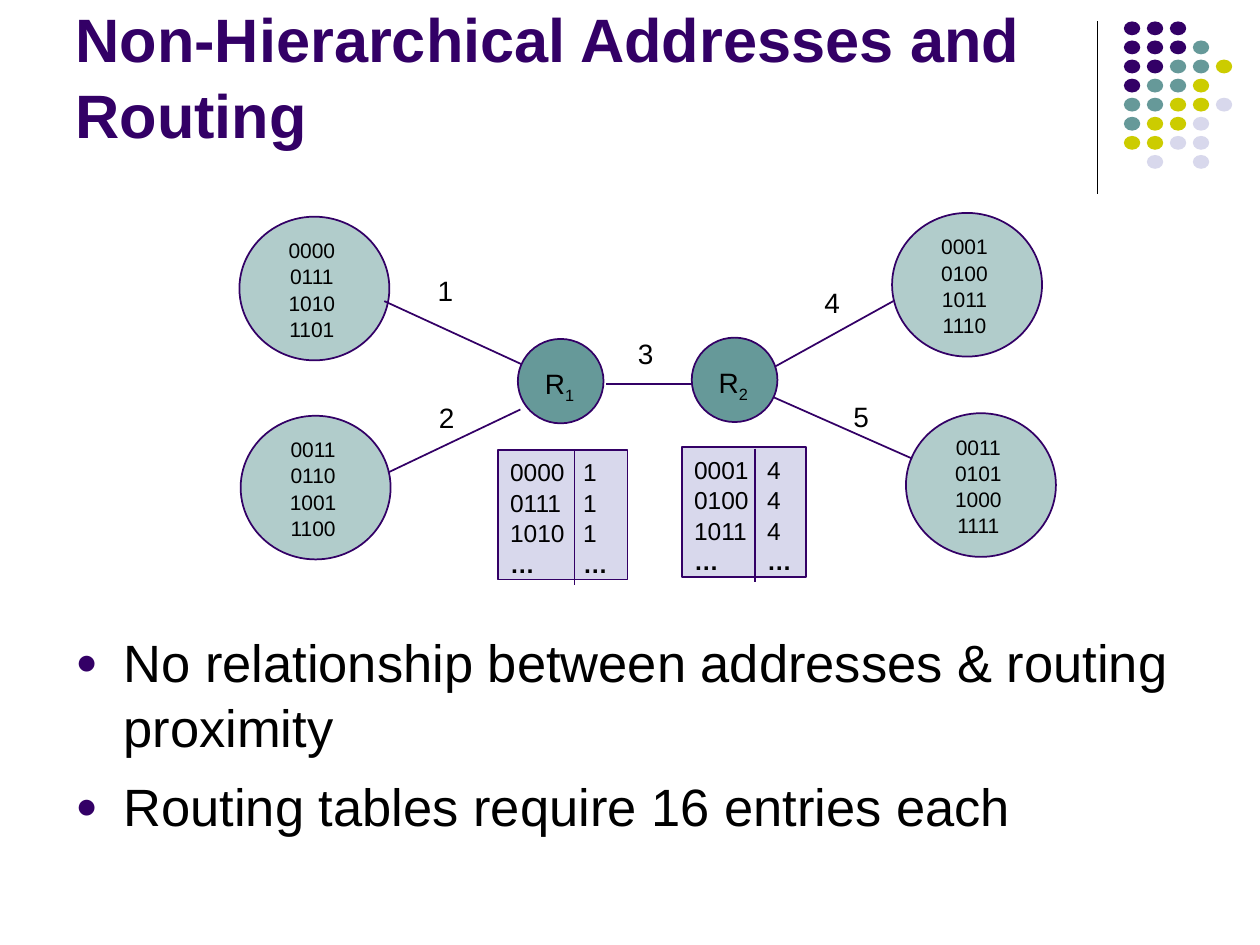
from dataclasses import dataclass

from lxml import etree
from pptx import Presentation
from pptx.dml.color import RGBColor
from pptx.enum.shapes import MSO_CONNECTOR, MSO_SHAPE
from pptx.enum.text import MSO_ANCHOR, MSO_AUTO_SIZE, PP_ALIGN
from pptx.oxml.ns import qn
from pptx.util import Inches, Pt

LEFT, CENTER = PP_ALIGN.LEFT, PP_ALIGN.CENTER
TOP, BOTTOM = MSO_ANCHOR.TOP, MSO_ANCHOR.BOTTOM
OVAL, RECT = MSO_SHAPE.OVAL, MSO_SHAPE.RECTANGLE
STRAIGHT = MSO_CONNECTOR.STRAIGHT
FIXED = MSO_AUTO_SIZE.NONE


@dataclass(frozen=True)
class Theme:
    font: str = "Arial"
    ink: str = "000000"
    dark: str = "330066"
    teal: str = "669999"
    pale: str = "B1CCCB"
    lime: str = "CCCC00"
    mist: str = "D8D8EC"
    title: float = 35
    body: float = 30
    label: float = 16
    entry: float = 14
    host: float = 12
    leading: float = 1.04


@dataclass(frozen=True)
class Net:
    x: float
    y: float
    hosts: str


@dataclass(frozen=True)
class Router:
    x: float
    y: float
    index: str


@dataclass(frozen=True)
class Link:
    start: tuple[float, float]
    end: tuple[float, float]
    port: str
    x: float
    y: float


@dataclass(frozen=True)
class Routes:
    x: float
    y: float
    width: float
    rule: float
    hosts: str
    port: str


THEME = Theme()
NETS = [
    Net(1.9, 1.72, "0000 0111 1010 1101"),
    Net(7.08, 1.69, "0001 0100 1011 1110"),
    Net(7.19, 3.28, "0011 0101 1000 1111"),
    Net(1.91, 3.3, "0011 0110 1001 1100"),
]
LINKS = [
    Link((3.05, 2.39), (4.16, 2.9), "1", 3.29, 2.11),
    Link((4.13, 3.25), (3.08, 3.75), "2", 3.3, 3.12),
    Link((4.81, 3.05), (5.51, 3.05), "3", 4.88, 2.61),
    Link((6.15, 2.91), (7.09, 2.39), "4", 6.36, 2.21),
    Link((6.11, 3.14), (7.24, 3.64), "5", 6.59, 3.11),
]
ROUTERS = [Router(4.11, 2.69, "1"), Router(5.49, 2.68, "2")]
TABLES = [
    Routes(3.95, 3.57, 1.03, 4.56, "0000 0111 1010", "1"),
    Routes(5.41, 3.55, 0.99, 5.99, "0001 0100 1011", "4"),
]
DOTS = ["DDD", "DDDT", "DDTTL", "DTTL", "TTLLM", "TLLM", "LLMM", " M M"]
HUES = {"D": THEME.dark, "T": THEME.teal, "L": THEME.lime, "M": THEME.mist}
POINTS = [
    "No relationship between addresses & routing proximity",
    "Routing tables require 16 entries each",
]


def paint(font, size: float, hue: str = THEME.ink, bold: bool = False) -> None:
    font.name, font.size, font.bold = THEME.font, Pt(size), bold
    font.color.rgb = RGBColor.from_string(hue)


def write(para, text: str, size: float, hue: str = THEME.ink, bold: bool = False):
    run = para.add_run()
    run.text = text
    paint(run.font, size, hue, bold)
    return run


def lines(frame, count: int, align=CENTER) -> list:
    """Set up a frame and return its paragraphs, ready for runs."""
    frame.word_wrap, frame.auto_size = True, FIXED
    paras = [frame.paragraphs[0]] + [frame.add_paragraph() for _ in range(count - 1)]
    for para in paras:
        para.alignment, para.line_spacing = align, THEME.leading
        para.space_before = para.space_after = Pt(0)
    return paras


def place(shape, x: float, y: float, width: float, height: float) -> None:
    shape.left, shape.top = Inches(x), Inches(y)
    shape.width, shape.height = Inches(width), Inches(height)


def add_box(slide, x: float, y: float, width: float, height: float, count: int = 1) -> list:
    box = slide.shapes.add_textbox(Inches(x), Inches(y), Inches(width), Inches(height))
    return lines(box.text_frame, count)


def add_form(slide, kind, x: float, y: float, width: float, height: float,
             fill: str, edge: str | None = THEME.dark):
    form = slide.shapes.add_shape(kind, Inches(x), Inches(y), Inches(width), Inches(height))
    form.shadow.inherit = False
    form.fill.solid()
    form.fill.fore_color.rgb = RGBColor.from_string(fill)
    if edge:
        form.line.color.rgb = RGBColor.from_string(edge)
        form.line.width = Pt(1)
    else:
        form.line.fill.background()
    return form


def add_line(slide, start: tuple[float, float], end: tuple[float, float],
             hue: str = THEME.dark, width: float = 1) -> None:
    line = slide.shapes.add_connector(STRAIGHT, *map(Inches, start + end))
    line.line.color.rgb = RGBColor.from_string(hue)
    line.line.width = Pt(width)
    etree.SubElement(line._element.spPr, qn("a:effectLst"))


def add_net(slide, net: Net) -> None:
    add_form(slide, OVAL, net.x, net.y, 1.19, 1.14, THEME.pale)
    hosts = net.hosts.split()
    paras = add_box(slide, net.x + 0.22, net.y + 0.11, 0.71, 0.9, len(hosts))
    for para, host in zip(paras, hosts):
        write(para, host, THEME.host)


def add_link(slide, link: Link) -> None:
    add_line(slide, link.start, link.end)
    write(add_box(slide, link.x, link.y, 0.49, 0.36)[0], link.port, THEME.label)


def add_router(slide, router: Router) -> None:
    add_form(slide, OVAL, router.x, router.y, 0.68, 0.67, THEME.teal)
    para = add_box(slide, router.x - 0.01, router.y + 0.16, 0.68, 0.4)[0]
    write(para, "R", THEME.label)
    write(para, router.index, THEME.label).font._element.set("baseline", "-25000")


def add_routes(slide, table: Routes) -> None:
    form = add_form(slide, RECT, table.x, table.y, table.width, 1.03, THEME.mist)
    form.text_frame.vertical_anchor = TOP
    rows = [(host, table.port) for host in table.hosts.split()] + [("…", "…")]
    for para, row in zip(lines(form.text_frame, len(rows), LEFT), rows):
        stops = etree.SubElement(para._p.get_or_add_pPr(), qn("a:tabLst"))
        etree.SubElement(stops, qn("a:tab"), pos=str(Inches(0.58)), algn="l")
        write(para, "\t".join(row), THEME.entry, bold=row[0] == "…")
    add_line(slide, (table.rule, table.y + 0.01), (table.rule, table.y + 1.07))


def add_dots(slide) -> None:
    for row, marks in enumerate(DOTS):
        for col, mark in enumerate(marks):
            if mark in HUES:
                add_form(slide, OVAL, 8.92 + 0.73 * col / 4, 0.17 + 1.06 * row / 7,
                         0.13, 0.11, HUES[mark], None)


def add_bullet(para) -> None:
    props = para._p.get_or_add_pPr()
    props.set("marL", str(Inches(0.38)))
    props.set("indent", str(-Inches(0.38)))
    etree.SubElement(etree.SubElement(props, qn("a:buClr")), qn("a:srgbClr"), val=THEME.dark)
    etree.SubElement(props, qn("a:buSzPct"), val="70000")
    etree.SubElement(props, qn("a:buFont"), typeface=THEME.font)
    etree.SubElement(props, qn("a:buChar"), char="●")


def fill_text(slide) -> None:
    title, body = slide.placeholders
    place(title, 0.5, 0.13, 8.25, 1.12)
    title.text_frame.vertical_anchor = BOTTOM
    head = lines(title.text_frame, 1, LEFT)[0]
    write(head, "Non-Hierarchical Addresses and Routing", THEME.title, THEME.dark, True)
    place(body, 0.5, 4.93, 9, 2.02)
    for index, para in enumerate(lines(body.text_frame, len(POINTS), LEFT)):
        para.space_before = Pt(7.5 if index else 0)
        add_bullet(para)
        write(para, POINTS[index], THEME.body)


def main() -> None:
    deck = Presentation()
    deck.slide_width, deck.slide_height = Inches(10), Inches(7.5)
    slide = deck.slides.add_slide(deck.slide_layouts[1])
    fill_text(slide)
    add_line(slide, (8.71, 0.17), (8.71, 1.54), THEME.ink, 0.75)
    add_dots(slide)
    for draw, items in ((add_net, NETS), (add_link, LINKS),
                        (add_router, ROUTERS), (add_routes, TABLES)):
        for item in items:
            draw(slide, item)
    deck.save("out.pptx")


if __name__ == "__main__":
    main()
